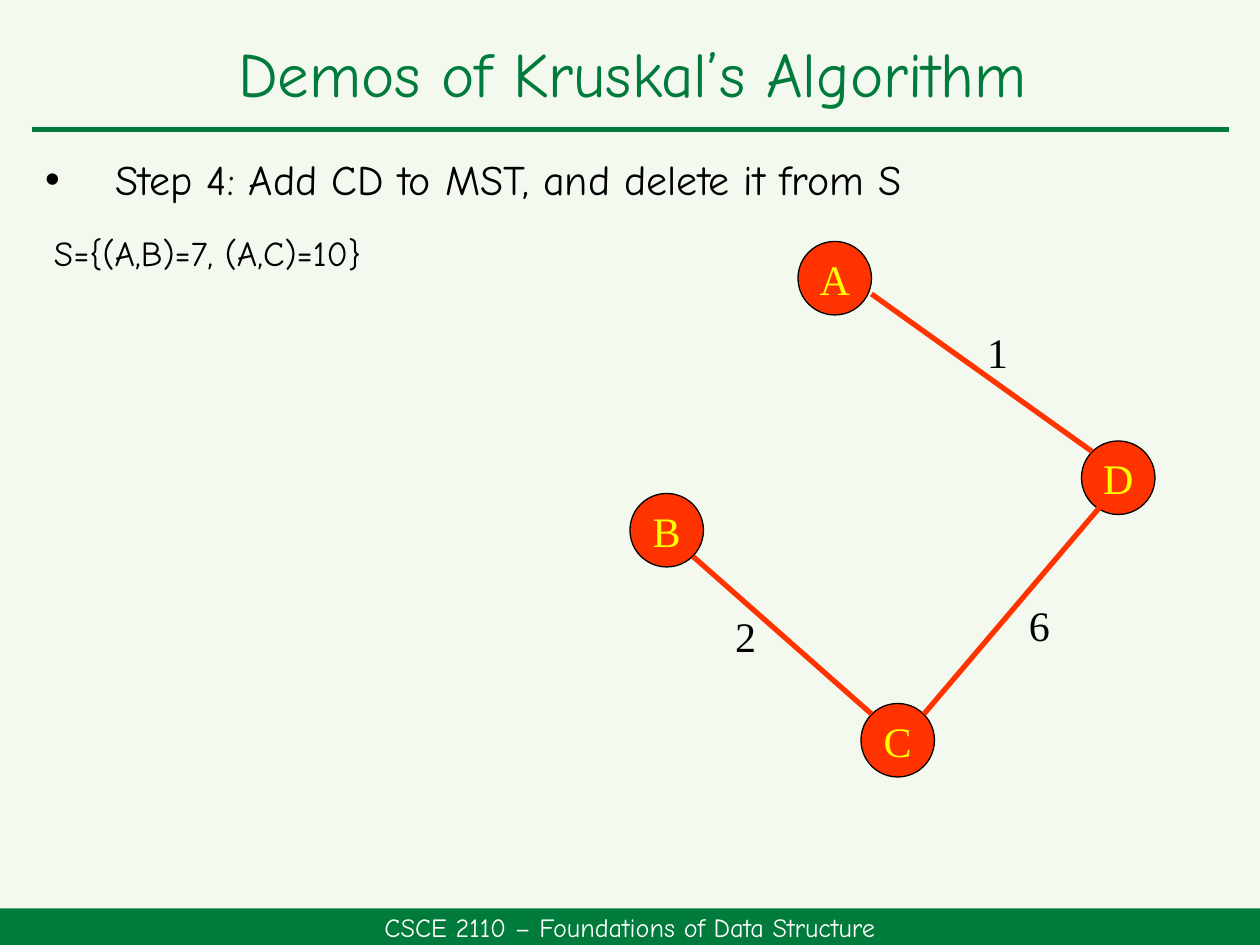
from dataclasses import dataclass

from lxml import etree
from pptx import Presentation, util as u
from pptx.dml.color import RGBColor
from pptx.enum import shapes, text
from pptx.oxml.ns import qn

COLORS = {
    "background": "F4F9F0",
    "green": "007B3B",
    "red": "FF3300",
    "yellow": "FFFF00",
    "black": "000000",
    "white": "FFFFFF",
}
HAND, SERIF = "Comic Neue", "Times New Roman"
CELL = u.Inches(1) // 12  # the graph sits on a grid of 120 columns and 90 rows
NODE_CELLS = 7
LABEL_CELLS = (8, 5)


@dataclass
class Node:
    name: str
    column: int
    row: int


@dataclass
class Edge:
    weight: str
    start: tuple[int, int]
    end: tuple[int, int]
    label: tuple[int, int]


NODES = [Node("A", 76, 23), Node("B", 60, 47), Node("C", 82, 67), Node("D", 103, 42)]
EDGES = [
    Edge("1", (83, 28), (104, 43), (91, 31)),
    Edge("2", (66, 53), (83, 68), (67, 58)),
    Edge("6", (88, 68), (105, 48), (95, 57)),
]


def color(name: str) -> RGBColor:
    return RGBColor.from_string(COLORS[name])


def write(shape, words: str, size: int, font: str, ink: str, centred: bool = True,
          wrap: bool = True):
    """Fill a shape with one formatted paragraph and return the paragraph."""
    frame = shape.text_frame
    frame.text = words
    frame.word_wrap = wrap
    frame.vertical_anchor = text.MSO_ANCHOR.MIDDLE if centred else text.MSO_ANCHOR.TOP
    paragraph = frame.paragraphs[0]
    paragraph.alignment = text.PP_ALIGN.CENTER if centred else text.PP_ALIGN.LEFT
    style = paragraph.runs[0].font
    style.size, style.name = u.Pt(size), font
    style.color.rgb = color(ink)
    return paragraph


def draw_line(slide, start: tuple[int, int], end: tuple[int, int], ink: str) -> None:
    line = slide.shapes.add_connector(shapes.MSO_CONNECTOR.STRAIGHT, *start, *end)
    line.line.color.rgb = color(ink)
    line.line.width = u.Pt(3)
    etree.SubElement(line._element.spPr, qn("a:effectLst"))


def draw_shape(slide, kind, box: tuple[int, int, int, int], fill: str):
    shape = slide.shapes.add_shape(kind, *box)
    shape.shadow.inherit = False
    shape.fill.solid()
    shape.fill.fore_color.rgb = color(fill)
    return shape


def draw_node(slide, node: Node) -> None:
    size = NODE_CELLS * CELL
    box = (node.column * CELL, node.row * CELL, size, size)
    circle = draw_shape(slide, shapes.MSO_SHAPE.OVAL, box, "red")
    circle.line.color.rgb = color("black")
    circle.line.width = u.Pt(0.75)
    write(circle, node.name, 24, SERIF, "yellow", wrap=False)


def draw_edge(slide, edge: Edge) -> None:
    start, end = (tuple(c * CELL for c in point) for point in (edge.start, edge.end))
    draw_line(slide, start, end, "red")
    label = slide.shapes.add_textbox(*(c * CELL for c in edge.label + LABEL_CELLS))
    write(label, edge.weight, 24, SERIF, "black", wrap=False)


def add_bullet(paragraph, indent: int) -> None:
    properties = paragraph._p.get_or_add_pPr()
    properties.set("marL", str(indent))
    properties.set("indent", str(-indent))
    etree.SubElement(properties, qn("a:buFont"), typeface="Arial")
    etree.SubElement(properties, qn("a:buChar"), char="•")


def main() -> None:
    presentation = Presentation()
    presentation.slide_width, presentation.slide_height = u.Inches(10), u.Inches(7.5)
    width, height = presentation.slide_width, presentation.slide_height
    slide = presentation.slides.add_slide(presentation.slide_layouts[5])
    slide.background.fill.solid()
    slide.background.fill.fore_color.rgb = color("background")

    # Rule and footer band
    margin, rule_top = int(width * 0.025), u.Inches(1.03)
    draw_line(slide, (margin, rule_top), (width - margin, rule_top), "green")
    band = u.Inches(0.29)
    footer = draw_shape(slide, shapes.MSO_SHAPE.RECTANGLE,
                        (0, height - band, width, band), "green")
    footer.line.fill.background()
    write(footer, "CSCE 2110 – Foundations of Data Structure", 15, HAND, "white")

    # Title
    left, text_width = u.Inches(0.26), u.Inches(9.52)
    title = slide.shapes.title
    title.left, title.top = left, u.Inches(0.17)
    title.width, title.height = text_width, u.Inches(0.88)
    heading = write(title, "Demos of Kruskal’s Algorithm", 36, HAND, "green")
    heading.line_spacing = 0.9

    # Step and the remaining edge set
    step = slide.shapes.add_textbox(left, u.Inches(1.17), text_width, u.Inches(0.5))
    paragraph = write(step, "Step 4: Add CD to MST, and delete it from S",
                      24, HAND, "black", centred=False)
    paragraph.space_before, paragraph.space_after = u.Pt(10), u.Pt(6)
    add_bullet(paragraph, u.Inches(0.56))
    edge_set = slide.shapes.add_textbox(u.Inches(0.33), u.Inches(1.79),
                                        u.Inches(3.81), u.Inches(0.67))
    paragraph = write(edge_set, "S={(A,B)=7, (A,C)=10}", 20, HAND, "black", centred=False)
    paragraph.space_before = u.Pt(4)

    # Spanning tree
    for node in NODES:
        draw_node(slide, node)
    for edge in EDGES:
        draw_edge(slide, edge)

    presentation.save("out.pptx")


if __name__ == "__main__":
    main()
